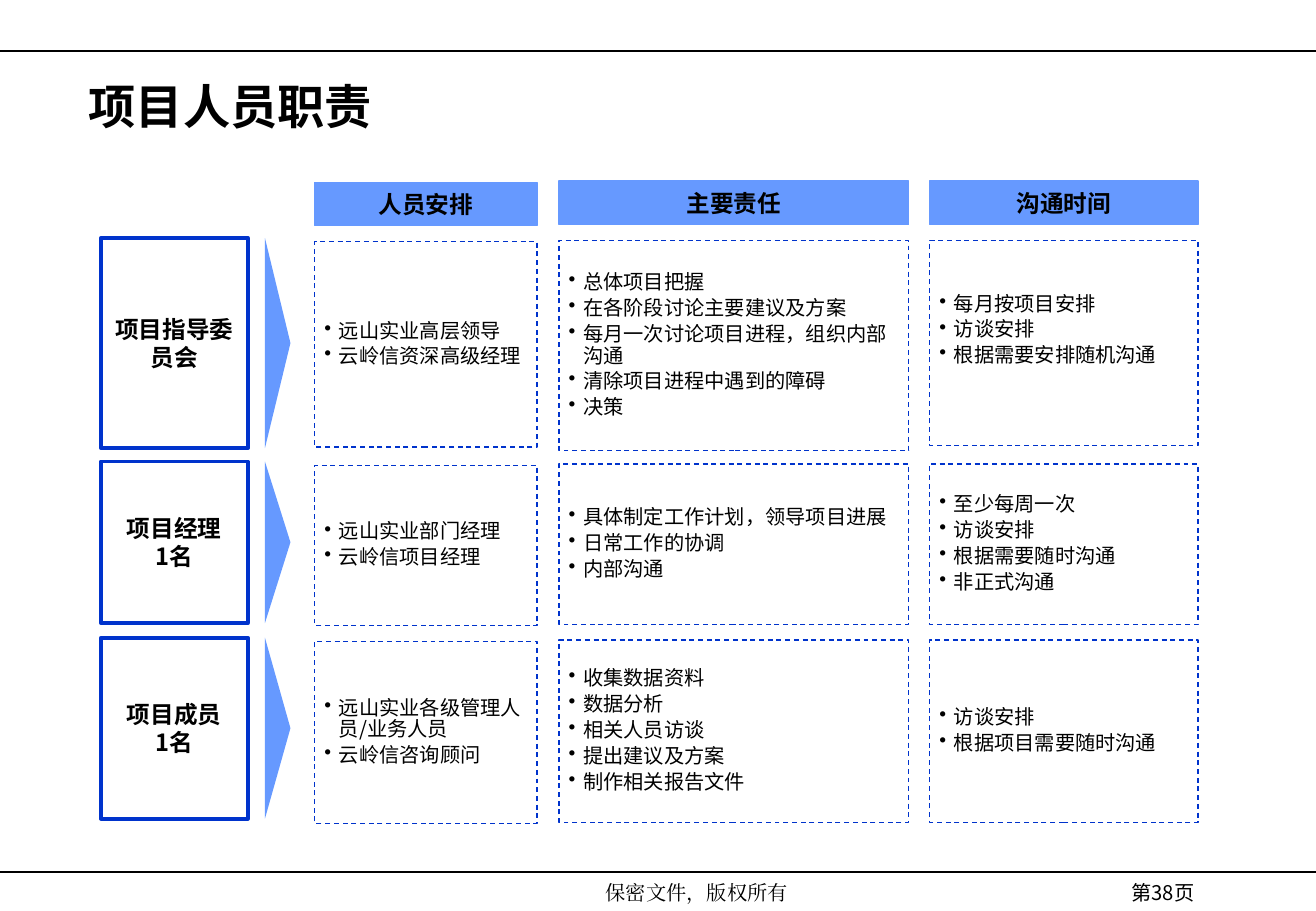
from collections import namedtuple

from lxml.etree import SubElement
from pptx import Presentation
from pptx.dml.color import RGBColor
from pptx.enum.dml import MSO_LINE
from pptx.enum.shapes import MSO_CONNECTOR, MSO_SHAPE
from pptx.enum.text import MSO_ANCHOR, PP_ALIGN
from pptx.oxml.ns import qn
from pptx.util import Inches, Pt

WIDTH, HEIGHT = 10.83, 7.5
SANS, SERIF = "Noto Sans CJK SC", "Times New Roman"
BLACK, BLUE, LIGHT_BLUE = "000000", "0033CC", "6699FF"
CELL_INSETS = (0.08, 0.04, 0.08, 0.04)

Column = namedtuple("Column", "heading left width drop")
Row = namedtuple("Row", "role top height cell_heights duties")

ROLE_LEFT, ROLE_WIDTH = 0.83, 1.21
ARROW_LEFT, ARROW_WIDTH = 2.18, 0.21
HEADING_TOP, HEADING_HEIGHT = 1.47, 0.36
COLUMNS = [
    Column("人员安排", 2.59, 1.83, 0.03),
    Column("主要责任", 4.6, 2.88, 0.02),
    Column("沟通时间", 7.65, 2.21, 0.02),
]
ROWS = [
    Row(["项目指导委员会"], 1.96, 1.73, (1.69, 1.73, 1.69), [
        ["远山实业高层领导", "云岭信资深高级经理"],
        ["总体项目把握", "在各阶段讨论主要建议及方案",
         "每月一次讨论项目进程，组织内部沟通",
         "清除项目进程中遇到的障碍", "决策"],
        ["每月按项目安排", "访谈安排", "根据需要安排随机沟通"],
    ]),
    Row(["项目经理", "1名"], 3.8, 1.33, (1.32, 1.32, 1.32), [
        ["远山实业部门经理", "云岭信项目经理"],
        ["具体制定工作计划，领导项目进展", "日常工作的协调", "内部沟通"],
        ["至少每周一次", "访谈安排", "根据需要随时沟通", "非正式沟通"],
    ]),
    Row(["项目成员", "1名"], 5.25, 1.49, (1.5, 1.5, 1.5), [
        ["远山实业各级管理人员/业务人员", "云岭信咨询顾问"],
        ["收集数据资料", "数据分析", "相关人员访谈", "提出建议及方案",
         "制作相关报告文件"],
        ["访谈安排", "根据项目需要随时沟通"],
    ]),
]


def color(hex_code):
    """Turn a hex string into a colour."""
    return RGBColor.from_string(hex_code)


def add_bullet(paragraph):
    """Give a paragraph a hanging round bullet."""
    properties = paragraph._p.get_or_add_pPr()
    properties.set("marL", str(Inches(0.12)))
    properties.set("indent", str(-Inches(0.12)))
    SubElement(properties, qn("a:buChar")).set("char", "•")


def write(shape, lines, size=12, font=SANS, bold=False, align=PP_ALIGN.CENTER,
          anchor=MSO_ANCHOR.MIDDLE, insets=(0.1, 0.05, 0.1, 0.05), bulleted=False):
    """Fill a shape with formatted paragraphs."""
    frame = shape.text_frame
    frame.word_wrap = True
    frame.vertical_anchor = anchor
    (frame.margin_left, frame.margin_top,
     frame.margin_right, frame.margin_bottom) = map(Inches, insets)
    for index, line in enumerate(lines):
        paragraph = frame.add_paragraph() if index else frame.paragraphs[0]
        paragraph.alignment = align
        if bulleted:
            add_bullet(paragraph)
            paragraph.line_spacing = 0.9
            if index:
                paragraph.space_before = Pt(size * 0.2)
        run = paragraph.add_run()
        run.text = line
        run.font.size = Pt(size)
        run.font.bold = bold
        run.font.name = font
        run.font.color.rgb = color(BLACK)
        SubElement(run._r.get_or_add_rPr(), qn("a:ea")).set("typeface", font)


def add_box(slide, box, fill=None, line=None, line_width=0.75, dashed=False,
            kind=MSO_SHAPE.RECTANGLE):
    """Add a flat preset shape in the given box."""
    shape = slide.shapes.add_shape(kind, *map(Inches, box))
    shape.shadow.inherit = False
    if fill:
        shape.fill.solid()
        shape.fill.fore_color.rgb = color(fill)
    else:
        shape.fill.background()
    if line:
        shape.line.color.rgb = color(line)
        shape.line.width = Pt(line_width)
        if dashed:
            shape.line.dash_style = MSO_LINE.DASH
    else:
        shape.line.fill.background()
    return shape


def add_rule(slide, top):
    """Draw a thin line across the slide."""
    rule = slide.shapes.add_connector(
        MSO_CONNECTOR.STRAIGHT, 0, Inches(top), Inches(WIDTH), Inches(top))
    rule.line.color.rgb = color(BLACK)
    rule.line.width = Pt(0.75)
    SubElement(rule._element.spPr, qn("a:effectLst"))


def add_frame(slide):
    """Add the two rules and the footer texts."""
    add_rule(slide, 0.42)
    add_rule(slide, 7.18)
    for text, left, width, font in (("保密文件，版权所有", 2.8, 5.87, SERIF),
                                    ("第38页", 8.76, 1.62, SANS)):
        footer = slide.shapes.add_textbox(*map(Inches, (left, 7.2, width, 0.3)))
        write(footer, [text], font=font, anchor=MSO_ANCHOR.TOP)


def add_title(slide, box, text):
    """Place and format the title placeholder."""
    title = slide.shapes.title
    title.left, title.top, title.width, title.height = map(Inches, box)
    write(title, [text], size=28, bold=True, align=PP_ALIGN.LEFT)


def add_heading(slide, column):
    """Add the filled heading above a column."""
    box = (column.left, HEADING_TOP + column.drop, column.width, HEADING_HEIGHT)
    heading = add_box(slide, box, fill=LIGHT_BLUE, line=LIGHT_BLUE)
    write(heading, [column.heading], size=14, bold=True, insets=(0, 0, 0, 0))


def add_row(slide, row):
    """Add a role box, its arrow and its three duty cells."""
    role = add_box(slide, (ROLE_LEFT, row.top, ROLE_WIDTH, row.height),
                   line=BLUE, line_width=2.25)
    write(role, row.role, size=14, bold=True)

    arrow_left = ARROW_LEFT + (ARROW_WIDTH - row.height) / 2
    arrow_top = row.top + (row.height - ARROW_WIDTH) / 2
    arrow = add_box(slide, (arrow_left, arrow_top, row.height, ARROW_WIDTH),
                    fill=LIGHT_BLUE, kind=MSO_SHAPE.ISOSCELES_TRIANGLE)
    arrow.rotation = 90

    for column, height, duties in zip(COLUMNS, row.cell_heights, row.duties):
        cell = add_box(slide, (column.left, row.top + column.drop, column.width, height),
                       line=BLUE, dashed=True)
        raised = duties[-1] == "根据需要安排随机沟通"
        insets = (0.08, 0.04, 0.08, 0.25) if raised else CELL_INSETS
        write(cell, duties, align=PP_ALIGN.LEFT, insets=insets, bulleted=True)


def main():
    """Build the slide of project roles and save it."""
    presentation = Presentation()
    presentation.slide_width = Inches(WIDTH)
    presentation.slide_height = Inches(HEIGHT)
    slide = presentation.slides.add_slide(presentation.slide_layouts[5])
    add_frame(slide)
    add_title(slide, (0.63, 0.58, 9.75, 0.58), "项目人员职责")
    for column in COLUMNS:
        add_heading(slide, column)
    for row in ROWS:
        add_row(slide, row)
    presentation.save("out.pptx")


if __name__ == "__main__":
    main()
